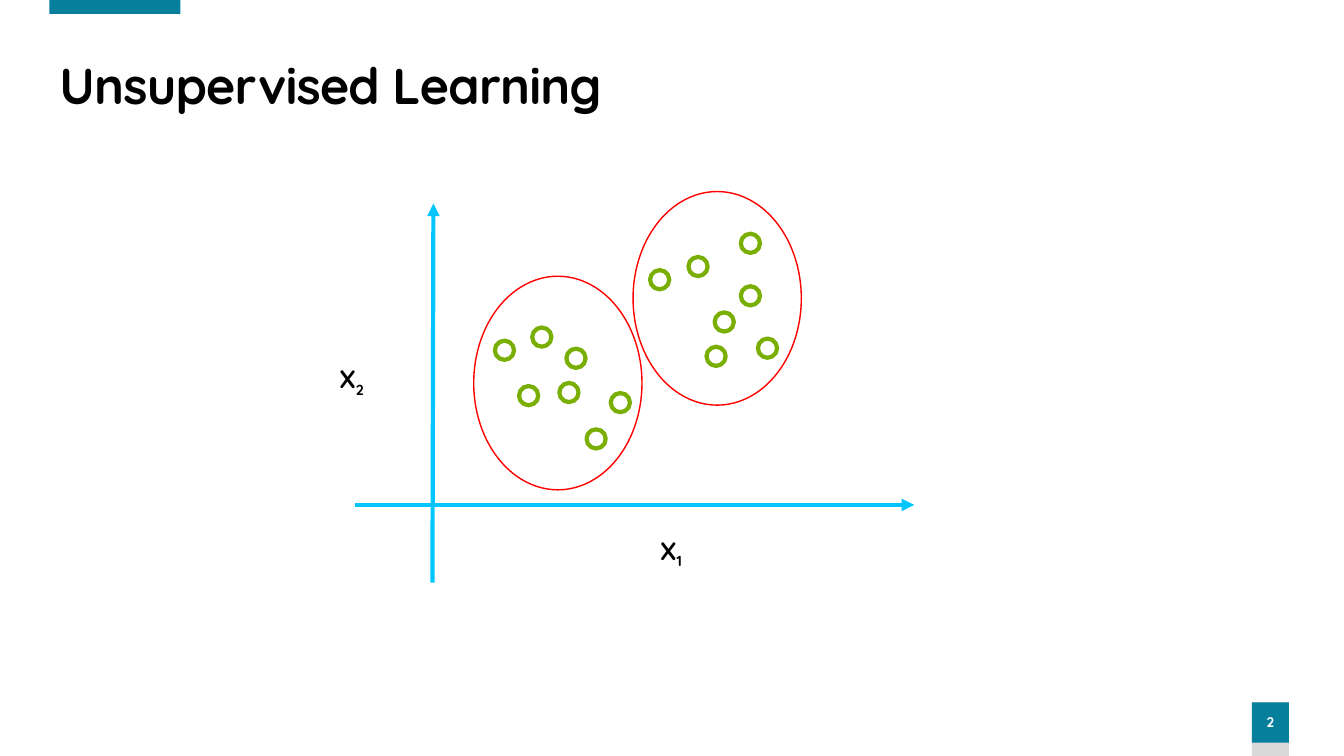
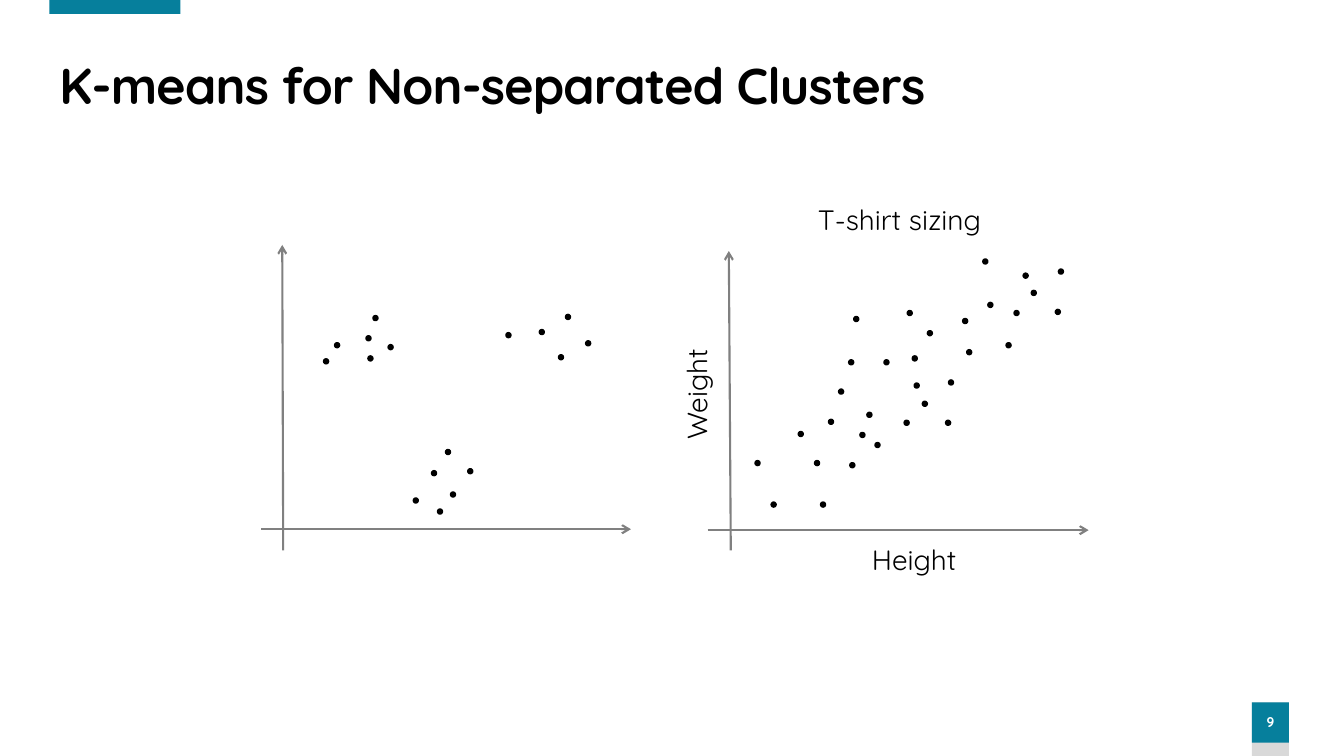
from dataclasses import dataclass

from lxml import etree
from pptx import Presentation
from pptx.dml.color import RGBColor
from pptx.enum.shapes import MSO_CONNECTOR, MSO_SHAPE
from pptx.enum.text import MSO_ANCHOR, MSO_AUTO_SIZE, PP_ALIGN
from pptx.oxml.ns import qn
from pptx.util import Pt

STRAIGHT = MSO_CONNECTOR.STRAIGHT
OVAL, RECT = MSO_SHAPE.OVAL, MSO_SHAPE.RECTANGLE
MIDDLE = MSO_ANCHOR.MIDDLE
NO_FIT = MSO_AUTO_SIZE.NONE
LEFT, CENTER = PP_ALIGN.LEFT, PP_ALIGN.CENTER
TITLE_ONLY = 5


@dataclass(frozen=True)
class Theme:
    font: str = "Quicksand"
    teal: str = "067F9C"
    light_gray: str = "D9D9D9"
    axis_gray: str = "808080"
    axis_blue: str = "01C6FD"
    cluster_red: str = "FF0000"
    ring_green: str = "79AE02"
    black: str = "000000"
    white: str = "FFFFFF"
    title_size: float = 36
    label_size: float = 20
    axis_label_size: float = 18
    number_size: float = 10


THEME = Theme()

# Content of slide 1: all places are in points, points and clusters by centre
CLUSTER_SIZE = (120.2, 152.6)
CLUSTERS = [(398.5, 273.6), (512.3, 213.1)]
RING_SIZE = (13.7, 13.7)
RINGS = [
    (387, 240.8), (377.6, 282.6), (411.4, 255.9), (425.8, 313.5),
    (443.1, 287.6), (360.3, 250.2), (406.4, 280.4),
    (498.6, 190.4), (511.5, 254.5), (536, 211.3), (548.2, 248.7),
    (536, 173.8), (471.2, 199.8), (517.3, 230),
]
FEATURE_AXES = [((308.9, 416.2), (309.6, 145.4)),
                ((253.4, 360.7), (653, 360.7))]
FEATURE_LABELS = [("X", "1", (464.4, 378.7, 106.6, 28.8)),
                  ("X", "2", (235.4, 256.3, 106.6, 28.8))]

# Content of slide 2
DOT_SIZE = (3.6, 3.6)
SEPARATED = [
    (363.2, 239.4), (400.7, 255.2), (405.7, 226.4), (420.1, 245.2),
    (387, 237.2),
    (263.2, 241.6), (232.9, 258.1), (279, 248), (268.2, 227.2),
    (264.6, 256), (240.8, 246.6),
    (314.3, 365.4), (323.6, 353.2), (310, 338), (335.9, 336.6),
    (297, 357.5), (320, 322.9),
]
NON_SEPARATED = [
    (583.6, 330.8), (679.3, 273.2), (600.8, 279.7), (677.2, 302),
    (593.6, 301.3), (660.6, 288.4), (692.3, 251.6), (664.2, 238),
    (707.4, 217.8), (633.2, 258.8), (608.8, 332.3), (621, 296.3),
    (616, 310.7), (552.6, 360.4), (587.9, 360.4), (572, 310),
    (626.8, 317.9), (541.1, 330.8), (608, 258.8), (654.8, 275.4),
    (649.8, 223.6), (653.4, 256), (611.6, 227.9), (647.6, 302),
    (703.8, 186.8), (689.4, 229.3), (720.4, 246.6), (757.8, 194),
    (755.6, 222.8), (738.4, 209.2), (732.6, 196.9), (726.1, 223.6),
]
PLOT_AXES = [
    ((202.3, 393.1), (201.6, 175)), ((186.5, 378), (450.7, 378)),
    ((522, 393.1), (520.6, 179.3)), ((505.4, 378.7), (777.6, 378.7)),
]
PLOT_LABELS = [
    ("T-shirt sizing", (496.1, 141.1, 293, 31.7), 0),
    ("Height", (595.4, 383.8, 115.2, 31.7), 0),
    ("Weight", (427.7, 265.7, 139.7, 31.7), 270),
]


def color(code):
    return RGBColor.from_string(code)


def style(para, size, code, bold=False, align=LEFT):
    para.alignment = align
    font = para.font
    font.name, font.size, font.bold = THEME.font, Pt(size), bold
    font.color.rgb = color(code)


def add_shape(page, kind, place, fill=None, line=None, weight=1):
    shape = page.shapes.add_shape(kind, *map(Pt, place))
    shape.shadow.inherit = False
    if fill:
        shape.fill.solid()
        shape.fill.fore_color.rgb = color(fill)
    else:
        shape.fill.background()
    if line:
        shape.line.color.rgb = color(line)
        shape.line.width = Pt(weight)
    else:
        shape.line.fill.background()
    return shape


def add_ovals(page, centers, size, **look):
    width, height = size
    for x, y in centers:
        place = (x - width / 2, y - height / 2, width, height)
        add_shape(page, OVAL, place, **look)


def add_axes(page, axes, code, weight, head):
    for start, end in axes:
        axis = page.shapes.add_connector(STRAIGHT, *map(Pt, start + end))
        axis.line.color.rgb = color(code)
        axis.line.width = Pt(weight)
        etree.SubElement(axis.line._get_or_add_ln(), qn("a:tailEnd"), type=head)
        etree.SubElement(axis._element.spPr, qn("a:effectLst"))


def add_label(page, text, place, size, bold=False, align=LEFT):
    box = page.shapes.add_textbox(*map(Pt, place))
    box.text_frame.word_wrap = True
    para = box.text_frame.paragraphs[0]
    para.add_run().text = text
    style(para, size, THEME.black, bold, align)
    return box


def add_page(deck, title, number):
    page = deck.slides.add_slide(deck.slide_layouts[TITLE_ONLY])

    # Bands and page number
    add_shape(page, RECT, (894.2, 501.8, 26.6, 38.2), THEME.light_gray)
    badge = add_shape(page, RECT, (894.2, 501.8, 26.6, 28.8), THEME.teal)
    add_shape(page, RECT, (35.3, 0, 93.6, 10), THEME.teal)
    frame = badge.text_frame
    frame.margin_left = frame.margin_right = 0
    frame.vertical_anchor = MIDDLE
    para = frame.paragraphs[0]
    para.text = number
    para.line_spacing, para.space_before = 0.9, Pt(10)
    style(para, THEME.number_size, THEME.white, True, CENTER)

    # Title
    holder = page.shapes.title
    holder.left, holder.top = Pt(35.3), Pt(39.6)
    holder.width, holder.height = Pt(880), Pt(46.8)
    frame = holder.text_frame
    frame.auto_size, frame.vertical_anchor = NO_FIT, MIDDLE
    para = frame.paragraphs[0]
    span = para.add_run()
    span.text = title
    span._r.get_or_add_rPr().set("spc", "-60")
    para.line_spacing = 0.9
    style(para, THEME.title_size, THEME.black, True)
    return page


def build_unsupervised(deck):
    page = add_page(deck, "Unsupervised Learning", "2")
    add_ovals(page, CLUSTERS, CLUSTER_SIZE,
              fill=THEME.white, line=THEME.cluster_red)
    add_axes(page, FEATURE_AXES, THEME.axis_blue, 3, "triangle")
    for letter, index, place in FEATURE_LABELS:
        box = add_label(page, letter, place, THEME.axis_label_size, True)
        span = box.text_frame.paragraphs[0].add_run()
        span.text = index
        span._r.get_or_add_rPr().set("baseline", "-25000")
    add_ovals(page, RINGS, RING_SIZE, line=THEME.ring_green, weight=3)


def build_non_separated(deck):
    page = add_page(deck, "K-means for Non-separated Clusters", "9")
    add_axes(page, PLOT_AXES, THEME.axis_gray, 1.5, "arrow")
    for text, place, turn in PLOT_LABELS:
        box = add_label(page, text, place, THEME.label_size, align=CENTER)
        box.rotation = turn
    add_ovals(page, SEPARATED + NON_SEPARATED, DOT_SIZE,
              fill=THEME.black, line=THEME.black)


def main():
    deck = Presentation()
    deck.slide_width, deck.slide_height = Pt(960), Pt(540)
    build_unsupervised(deck)
    build_non_separated(deck)
    deck.save("out.pptx")


if __name__ == "__main__":
    main()
